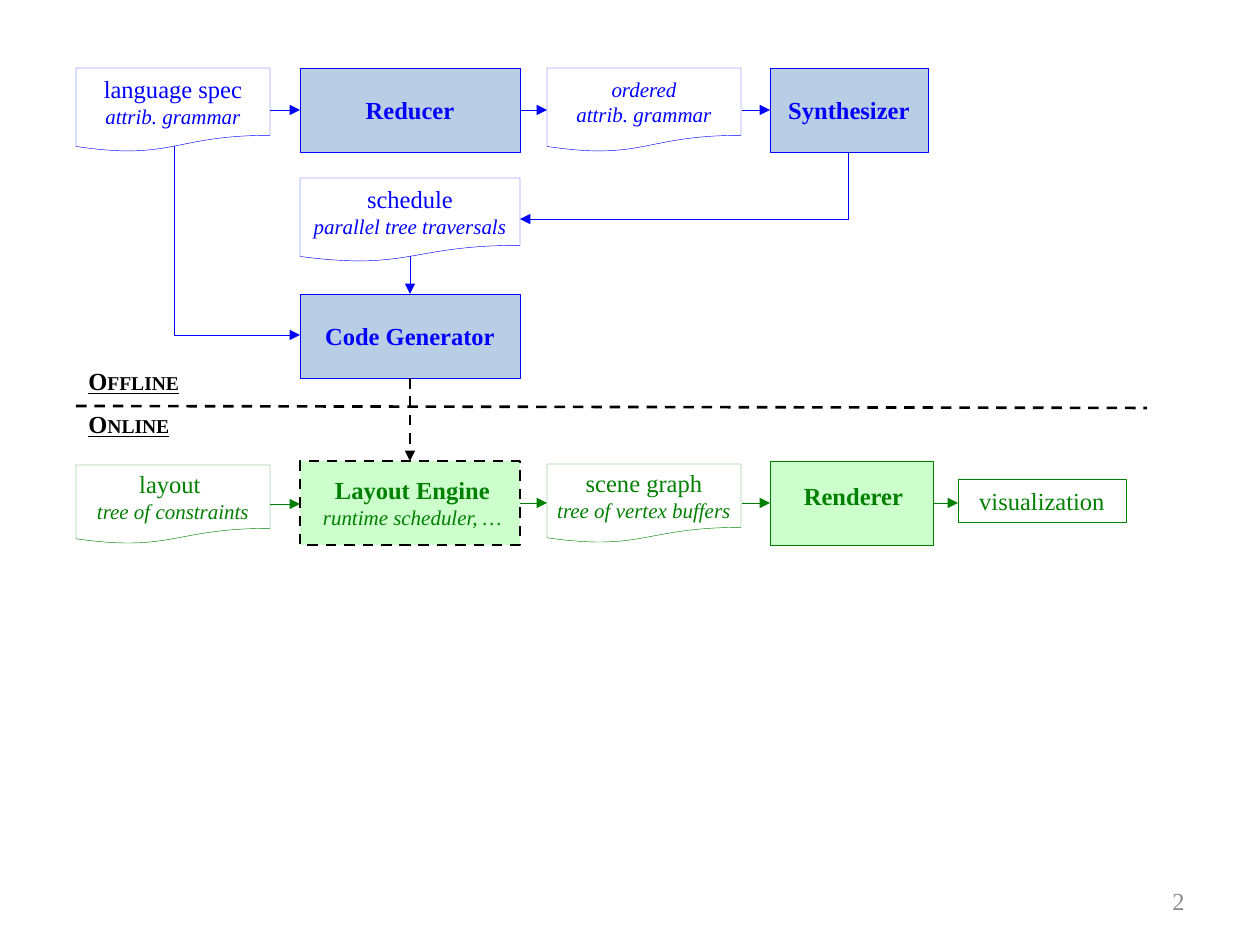
import pptx
import pptx.util
import pptx.dml.color
import pptx.enum.dml
import pptx.enum.shapes
import pptx.enum.text
import pptx.oxml.ns
from lxml import etree

PX = 914400 / 126
FONT = "Times New Roman"
COLORS = {
    "blue": "0000FF", "pale blue": "B9CDE5", "green": "008000",
    "pale green": "CCFFCC", "black": "000000", "white": "FFFFFF", "gray": "8C8C8C",
}
STYLES = {
    "name": {"size": 14},
    "bold": {"size": 14, "bold": True},
    "detail": {"size": 12, "italic": True},
    "heading": {"size": 14, "bold": True, "underline": True},
}
ALIGN = pptx.enum.text.PP_ALIGN
ANCHOR = pptx.enum.text.MSO_ANCHOR
SHAPE = pptx.enum.shapes.MSO_SHAPE
CONNECTOR = pptx.enum.shapes.MSO_CONNECTOR

INPUT, ENGINE, RESULT, LAST = 76, 300, 547, 770
OFFLINE, SCHEDULE, GENERATOR, ONLINE = 68, 178, 294, 461
WIDE, MIDDLE, HIGH = 220, 194, 84
OFFLINE_Y, ONLINE_Y = 110, 503

# left, top, width, height, color, lines of (text, style)
DOCUMENTS = [
    (INPUT, OFFLINE, MIDDLE, HIGH, "blue",
     [("language spec", "name"), ("attrib. grammar", "detail")]),
    (RESULT, OFFLINE, MIDDLE, HIGH, "blue",
     [("ordered", "detail"), ("attrib. grammar", "detail")]),
    (ENGINE, SCHEDULE, WIDE, HIGH, "blue",
     [("schedule", "name"), ("parallel tree traversals", "detail")]),
    (INPUT, 465, MIDDLE, 79, "green",
     [("layout ", "name"), ("tree of constraints", "detail")]),
    (RESULT, 464, MIDDLE, 79, "green",
     [("scene graph", "name"), ("tree of vertex buffers", "detail")]),
]
# left, top, width, height, fill, line color, dashed, text color, lines
STEPS = [
    (ENGINE, OFFLINE, WIDE, HIGH, "pale blue", "blue", False, [("Reducer", "bold")]),
    (LAST, OFFLINE, 158, HIGH, "pale blue", "blue", False, [("Synthesizer", "bold")]),
    (ENGINE, GENERATOR, WIDE, HIGH, "pale blue", "blue", False,
     [("Code Generator", "bold")]),
    (ENGINE, ONLINE, WIDE, HIGH, "pale green", "black", True, []),
    (LAST, ONLINE, 163, HIGH, "pale green", "green", False, []),
    (958, 479, 168, 43, "white", "green", False, [("visualization", "name")]),
]
# left, top, width, height, color, alignment, anchor, lines
LABELS = [
    (305, 469, 215, 91, "green", ALIGN.CENTER, ANCHOR.TOP,
     [("Layout Engine", "bold"), ("runtime scheduler, …", "detail")]),
    (774, 475, 159, 57, "green", ALIGN.CENTER, ANCHOR.TOP, [("Renderer", "bold")]),
    (INPUT, 360, 127, 43, "black", ALIGN.LEFT, ANCHOR.TOP, [("Offline", "heading")]),
    (INPUT, 403, 137, 43, "black", ALIGN.LEFT, ANCHOR.TOP, [("Online", "heading")]),
    (903, 876, 294, 50, "gray", ALIGN.RIGHT, ANCHOR.MIDDLE, [("2", "name")]),
]
# start x, start y, end x, end y, color, dashed, arrowhead
STRAIGHT_LINES = [
    (270, OFFLINE_Y, ENGINE, OFFLINE_Y, "blue", False, True),
    (520, OFFLINE_Y, RESULT, OFFLINE_Y, "blue", False, True),
    (742, OFFLINE_Y, LAST, OFFLINE_Y, "blue", False, True),
    (410, 256, 410, GENERATOR, "blue", False, True),
    (410, 378, 410, ONLINE, "black", True, True),
    (INPUT, 406, 1147, 408, "black", True, False),
    (270, 504, ENGINE, 504, "green", False, True),
    (520, ONLINE_Y, RESULT, ONLINE_Y, "green", False, True),
    (742, ONLINE_Y, LAST, ONLINE_Y, "green", False, True),
    (933, ONLINE_Y, 958, ONLINE_Y, "green", False, True),
]
BENT_ARROWS = [(848, 152, 520, 219), (174, 146, 300, 335)]


def emu(*lengths):
    return [round(length * PX) for length in lengths]


def rgb(color):
    return pptx.dml.color.RGBColor.from_string(COLORS[color])


def write(frame, lines, color, alignment, anchor, wrap=True):
    frame.word_wrap = wrap
    frame.vertical_anchor = anchor
    for index, (text, style) in enumerate(lines):
        paragraph = frame.add_paragraph() if index else frame.paragraphs[0]
        paragraph.alignment = alignment
        run = paragraph.add_run()
        run.text = text
        run.font.name = FONT
        run.font.color.rgb = rgb(color)
        for attribute, value in STYLES[style].items():
            setattr(run.font, attribute,
                    pptx.util.Pt(value) if attribute == "size" else value)
        if style == "heading":
            run.font._element.set("cap", "small")


def format_line(line, color, dashed):
    line.color.rgb = rgb(color)
    line.width = pptx.util.Pt(1.5 if dashed else 0.25)
    if dashed:
        line.dash_style = pptx.enum.dml.MSO_LINE.DASH


def add_box(slide, kind, frame, fill, color, dashed, lines, wrap):
    shape = slide.shapes.add_shape(kind, *emu(*frame))
    shape.shadow.inherit = False
    shape.fill.solid()
    shape.fill.fore_color.rgb = rgb(fill)
    format_line(shape.line, color, dashed)
    write(shape.text_frame, lines, color, ALIGN.CENTER, ANCHOR.MIDDLE, wrap)


def add_line(slide, kind, ends, color, dashed, arrowhead):
    connector = slide.shapes.add_connector(kind, *emu(*ends))
    format_line(connector.line, color, dashed)
    if arrowhead:
        etree.SubElement(connector.line._get_or_add_ln(),
                         pptx.oxml.ns.qn("a:tailEnd"), type="triangle")
    etree.SubElement(connector._element.spPr, pptx.oxml.ns.qn("a:effectLst"))
    return connector


def add_bent_arrow(slide, start_x, start_y, end_x, end_y):
    """Draw an arrow that runs down first and then sideways.

    The one-bend preset runs sideways first, so it is turned by a quarter
    about its centre, with width and height swapped.
    """
    center_x, center_y = (start_x + end_x) / 2, (start_y + end_y) / 2
    half_width, half_height = abs(end_y - start_y) / 2, abs(end_x - start_x) / 2
    ends = (center_x - half_width, center_y - half_height,
            center_x + half_width, center_y + half_height)
    connector = add_line(slide, CONNECTOR.ELBOW, ends, "blue", False, True)
    properties = connector._element.spPr
    properties.find(pptx.oxml.ns.qn("a:prstGeom")).set("prst", "bentConnector2")
    transform = properties.find(pptx.oxml.ns.qn("a:xfrm"))
    to_right = end_x > start_x
    transform.set("rot", str((270 if to_right else 90) * 60000))
    if to_right:
        transform.set("flipH", "1")


def main():
    presentation = pptx.Presentation()
    presentation.slide_width = pptx.util.Inches(10)
    presentation.slide_height = pptx.util.Inches(7.5)
    slide = presentation.slides.add_slide(presentation.slide_layouts[6])

    for *frame, color, lines in DOCUMENTS:
        add_box(slide, SHAPE.FLOWCHART_DOCUMENT, frame, "white", color, False, lines, False)
    for *frame, fill, color, dashed, lines in STEPS:
        add_box(slide, SHAPE.RECTANGLE, frame, fill, color, dashed, lines, True)
    for *frame, color, alignment, anchor, lines in LABELS:
        label = slide.shapes.add_textbox(*emu(*frame))
        write(label.text_frame, lines, color, alignment, anchor)
    for *ends, color, dashed, arrowhead in STRAIGHT_LINES:
        add_line(slide, CONNECTOR.STRAIGHT, ends, color, dashed, arrowhead)
    for ends in BENT_ARROWS:
        add_bent_arrow(slide, *ends)

    presentation.save("out.pptx")


if __name__ == "__main__":
    main()
